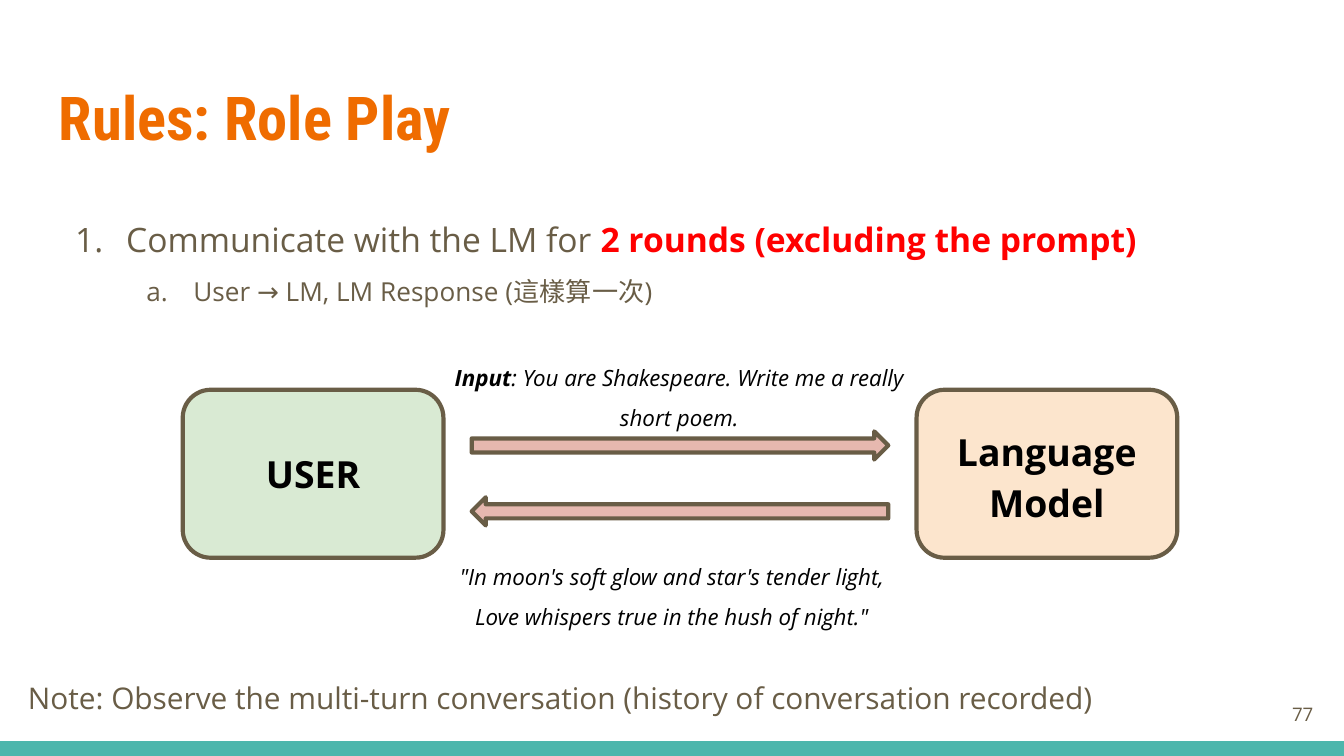
from dataclasses import dataclass

from lxml import etree
from pptx import Presentation
from pptx.dml.color import RGBColor
from pptx.enum.shapes import MSO_SHAPE
from pptx.enum.text import MSO_ANCHOR, PP_ALIGN
from pptx.oxml.ns import qn
from pptx.util import Inches, Pt

ROUND = MSO_SHAPE.ROUNDED_RECTANGLE
RECT = MSO_SHAPE.RECTANGLE
RIGHT, LEFT = MSO_SHAPE.RIGHT_ARROW, MSO_SHAPE.LEFT_ARROW
TOP, MIDDLE = MSO_ANCHOR.TOP, MSO_ANCHOR.MIDDLE
START, CENTER, END = PP_ALIGN.LEFT, PP_ALIGN.CENTER, PP_ALIGN.RIGHT

WIDTH = 10
HEIGHT = WIDTH * 9 / 16


@dataclass(frozen=True)
class Theme:
    head: str = "Roboto Condensed"
    body: str = "Open Sans"
    orange: str = "EF6C00"
    brown: str = "695D46"
    red: str = "FF0000"
    black: str = "000000"
    teal: str = "4DB6AC"
    green: str = "D9EAD3"
    peach: str = "FCE5CD"
    pink: str = "E6B8AF"
    title: float = 32.4
    rule: float = 18
    sub: float = 14
    node: float = 20
    quote: float = 12
    note: float = 16
    page: float = 10
    edge: float = 2.25


THEME = Theme()


@dataclass(frozen=True)
class Box:
    x: float
    y: float
    w: float
    h: float


@dataclass(frozen=True)
class Span:
    text: str
    size: float
    color: str = THEME.brown
    bold: bool = False
    slant: bool = False
    font: str = THEME.body


@dataclass(frozen=True)
class Para:
    spans: tuple[Span, ...]
    align: PP_ALIGN = START
    space: float = 1.0
    bullet: str = ""
    level: int = 0
    margin: float = 0
    hang: float = 0


@dataclass(frozen=True)
class Label:
    box: Box
    paras: tuple[Para, ...]
    anchor: MSO_ANCHOR = TOP


@dataclass(frozen=True)
class Node:
    box: Box
    fill: str
    lines: tuple[str, ...]
    space: float


def place(box: Box) -> tuple:
    return Inches(box.x), Inches(box.y), Inches(box.w), Inches(box.h)


def number(para, item: Para) -> None:
    props = para._p.get_or_add_pPr()
    props.set("marL", str(Inches(item.margin)))
    props.set("indent", str(Inches(-item.hang)))
    color = etree.SubElement(props, qn("a:buClr"))
    etree.SubElement(color, qn("a:srgbClr"), val=THEME.brown)
    etree.SubElement(props, qn("a:buFont"), typeface=THEME.body)
    etree.SubElement(props, qn("a:buAutoNum"), type=item.bullet)


def write(frame, paras: tuple[Para, ...], anchor: MSO_ANCHOR) -> None:
    frame.word_wrap = True
    frame.vertical_anchor = anchor
    frame.margin_left = frame.margin_right = Inches(0.1)
    frame.margin_top = frame.margin_bottom = Inches(0.1)
    for i, item in enumerate(paras):
        para = frame.add_paragraph() if i else frame.paragraphs[0]
        para.alignment = item.align
        para.line_spacing = item.space
        para.level = item.level
        if item.bullet:
            number(para, item)
        for span in item.spans:
            run = para.add_run()
            run.text = span.text
            font = run.font
            font.name, font.size = span.font, Pt(span.size)
            font.bold, font.italic = span.bold, span.slant
            font.color.rgb = RGBColor.from_string(span.color)


def draw_shape(slide, kind: MSO_SHAPE, box: Box, fill: str, edge: bool = True):
    shape = slide.shapes.add_shape(kind, *place(box))
    shape.shadow.inherit = False
    shape.fill.solid()
    shape.fill.fore_color.rgb = RGBColor.from_string(fill)
    if edge:
        shape.line.color.rgb = RGBColor.from_string(THEME.brown)
        shape.line.width = Pt(THEME.edge)
    else:
        shape.line.fill.background()
    return shape


def draw_node(slide, node: Node) -> None:
    shape = draw_shape(slide, ROUND, node.box, node.fill)
    paras = tuple(
        Para((Span(line, THEME.node, THEME.black, bold=True),), CENTER, node.space)
        for line in node.lines
    )
    write(shape.text_frame, paras, MIDDLE)


def draw_label(slide, label: Label) -> None:
    shape = slide.shapes.add_textbox(*place(label.box))
    write(shape.text_frame, label.paras, label.anchor)


def quote(text: str, bold: bool = False) -> Span:
    return Span(text, THEME.quote, THEME.black, bold, slant=True)


NODES = (
    Node(Box(1.36, 2.9, 1.94, 1.25), THEME.green, ("USER",), 1),
    Node(Box(6.82, 2.9, 1.94, 1.25), THEME.peach, ("Language", "Model"), 1.15),
)
ARROWS = ((RIGHT, 3.21), (LEFT, 3.7))

RULES = (
    Para(
        (
            Span("Communicate with the LM for ", THEME.rule),
            Span("2 rounds (excluding the prompt)", THEME.rule, THEME.red, bold=True),
        ),
        space=1.5, bullet="arabicPeriod", margin=0.5, hang=0.38,
    ),
    Para(
        (Span("User → LM, LM Response (這樣算一次)", THEME.sub),),
        space=1.5, bullet="alphaLcPeriod", level=1, margin=1, hang=0.35,
    ),
)
PROMPT = (
    quote("Input", bold=True),
    quote(": You are Shakespeare. Write me a really short poem."),
)
POEM = (
    quote(
        "\"In moon's soft glow and star's tender light, "
        "Love whispers true in the hush of night.\""
    ),
)
TITLE = Span("Rules: Role Play", THEME.title, THEME.orange, True, font=THEME.head)
NOTE = Span(
    "Note: Observe the multi-turn conversation (history of conversation recorded)",
    THEME.note,
)

LABELS = (
    Label(Box(0.34, 0.48, 9.32, 0.77), (Para((TITLE,)),), MIDDLE),
    Label(Box(0.34, 1.38, 9.32, 1.15), RULES),
    Label(Box(3.25, 2.51, 3.61, 0.71), (Para(PROMPT, CENTER, 1.5),)),
    Label(Box(3.15, 3.99, 3.7, 1.01), (Para(POEM, CENTER, 1.5),)),
    Label(Box(0.11, 4.96, 9.32, 0.47), (Para((NOTE,)),)),
    Label(Box(9.27, 5.1, 0.6, 0.43), (Para((Span("77", THEME.page),), END),), MIDDLE),
)


def main() -> None:
    deck = Presentation()
    deck.slide_width, deck.slide_height = Inches(WIDTH), Inches(HEIGHT)
    slide = deck.slides.add_slide(deck.slide_layouts[6])

    # Footer band
    band = 0.11
    draw_shape(slide, RECT, Box(0, HEIGHT - band, WIDTH, band), THEME.teal, edge=False)

    # Dialogue diagram
    for node in NODES:
        draw_node(slide, node)
    for kind, y in ARROWS:
        draw_shape(slide, kind, Box(3.51, y, 3.1, 0.21), THEME.pink)

    # Title, rules, captions, note and page number
    for label in LABELS:
        draw_label(slide, label)

    deck.save("out.pptx")


if __name__ == "__main__":
    main()
